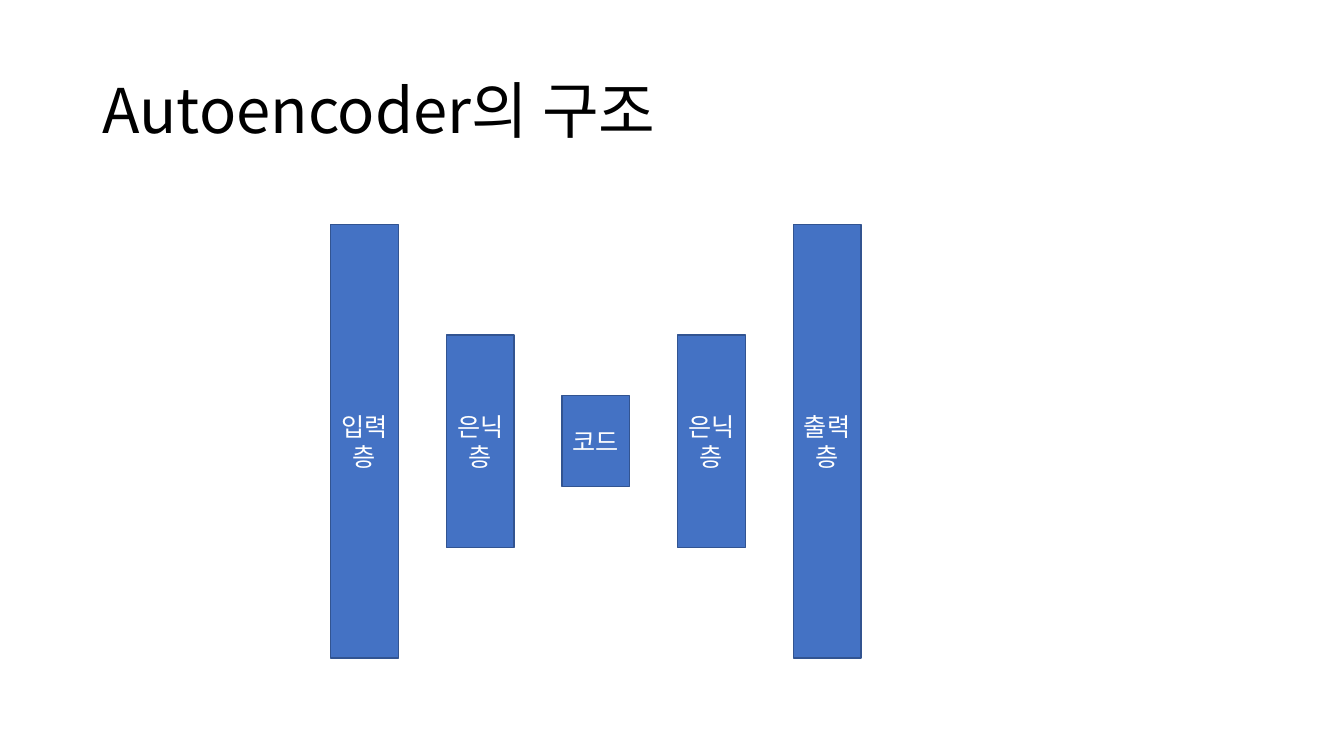
import pptx
import pptx.util
import pptx.dml.color
import pptx.enum.shapes
import pptx.enum.text
import pptx.oxml.ns
import lxml.etree

Pt = pptx.util.Pt
RGBColor = pptx.dml.color.RGBColor

BLACK = RGBColor(0x00, 0x00, 0x00)
WHITE = RGBColor(0xFF, 0xFF, 0xFF)
BLUE = RGBColor(0x44, 0x72, 0xC4)
NAVY = RGBColor(0x32, 0x54, 0x91)
FACE = "Noto Sans CJK KR"

# Layer row: first left edge, step, width, shared middle height
LEFT, STEP, WIDTH, MIDDLE = 236.2, 82.6, 48.4, 315.2
LAYERS = [
    ("입력층", 309.6),
    ("은닉층", 152),
    ("코드", 65),
    ("은닉층", 152),
    ("출력층", 309.6),
]


def set_text(frame, text, size, color):
    frame.word_wrap = True
    frame.vertical_anchor = pptx.enum.text.MSO_ANCHOR.MIDDLE
    para = frame.paragraphs[0]
    para.text = text
    font = para.font
    font.name, font.size = FACE, Pt(size)
    font.color.rgb = color
    # Hangul takes the East Asian typeface
    qn = pptx.oxml.ns.qn
    props = para._p.pPr.find(qn("a:defRPr"))
    lxml.etree.SubElement(props, qn("a:ea"), typeface=FACE)
    return para


def add_title(slide, text):
    box = slide.shapes.add_textbox(Pt(66), Pt(28.8), Pt(828), Pt(104.4))
    para = set_text(box.text_frame, text, 44, BLACK)
    para.line_spacing = 0.9


def add_layer(slide, left, text, height):
    bar = slide.shapes.add_shape(
        pptx.enum.shapes.MSO_SHAPE.RECTANGLE,
        Pt(left), Pt(MIDDLE - height / 2), Pt(WIDTH), Pt(height))
    bar.shadow.inherit = False
    bar.fill.solid()
    bar.fill.fore_color.rgb = BLUE
    bar.line.color.rgb = NAVY
    bar.line.width = Pt(1)
    para = set_text(bar.text_frame, text, 18, WHITE)
    para.alignment = pptx.enum.text.PP_ALIGN.CENTER


def main():
    deck = pptx.Presentation()
    deck.slide_width, deck.slide_height = Pt(960), Pt(540)
    slide = deck.slides.add_slide(deck.slide_layouts[6])

    # Title
    add_title(slide, "Autoencoder의 구조")

    # Layers from input to output
    for index, (text, height) in enumerate(LAYERS):
        add_layer(slide, LEFT + index * STEP, text, height)

    deck.save("out.pptx")


if __name__ == "__main__":
    main()
